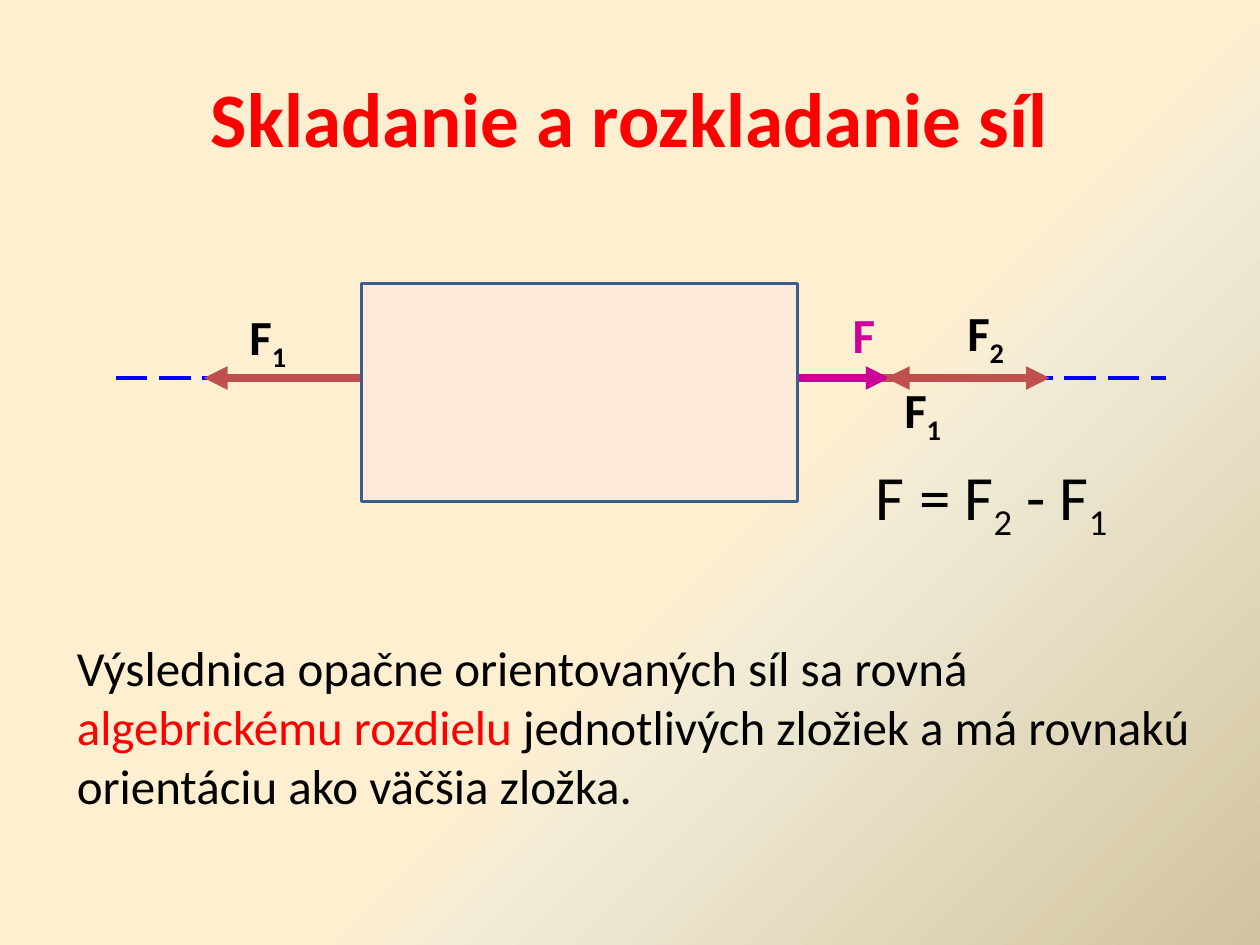
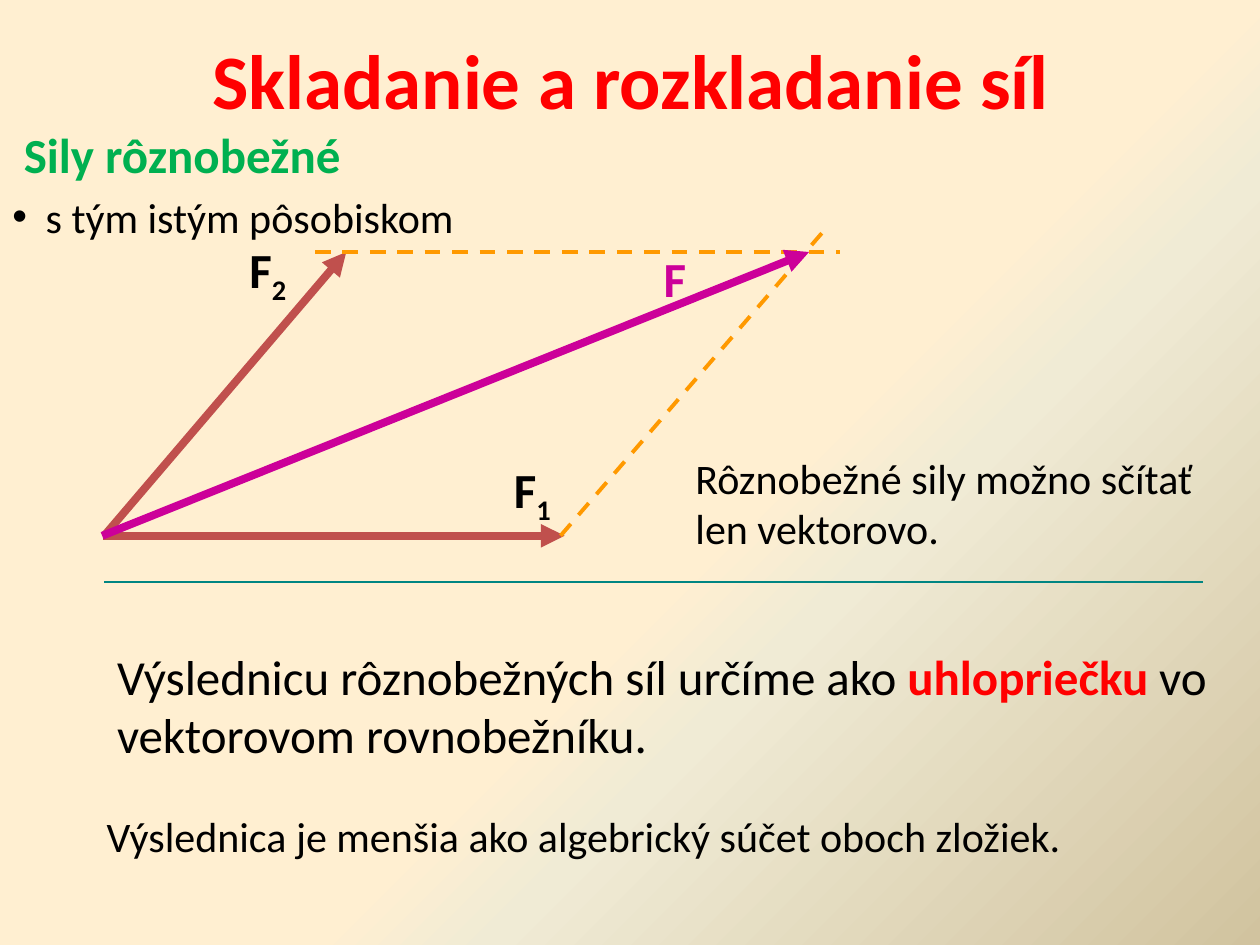
from dataclasses import dataclass

from lxml.etree import SubElement
from pptx import Presentation
from pptx.dml.color import RGBColor
from pptx.enum.dml import MSO_LINE_DASH_STYLE as Dash
from pptx.enum.shapes import MSO_CONNECTOR as Connector, MSO_SHAPE as Preset
from pptx.enum.text import MSO_ANCHOR as Anchor, MSO_AUTO_SIZE as AutoSize, PP_ALIGN as Align
from pptx.oxml.ns import qn
from pptx.slide import Slide, SlideMaster
from pptx.util import Cm, Pt


@dataclass(frozen=True)
class Theme:
    font: str = "Calibri"
    black: str = "000000"
    red: str = "FF0000"
    green: str = "00B050"
    component: str = "C0504D"
    resultant: str = "CC0099"
    axis: str = "0000FF"
    parallel: str = "FF9900"
    body_fill: str = "FDEADA"
    body_line: str = "3A5F8C"
    divider: str = "008582"
    background: tuple = ((57, "FFEFD1"), (65, "F0EBD5"), (100, "D1C39F"))
    title_size: int = 44
    formula_size: int = 36
    large_size: int = 28
    small_size: int = 24
    arrow_width: float = 4.5
    dash_width: float = 2.25


THEME = Theme()


@dataclass(frozen=True)
class Run:
    text: str
    color: str = THEME.black
    bold: bool = False
    subscript: bool = False


# Positions and sizes below are in centimetres
@dataclass(frozen=True)
class TextBox:
    left: float
    top: float
    width: float
    height: float
    runs: tuple[Run, ...]
    size: int = THEME.large_size
    align: Align = Align.LEFT
    anchor: Anchor = Anchor.TOP
    bullet: bool = False


@dataclass(frozen=True)
class Line:
    start: tuple[float, float]
    end: tuple[float, float]
    color: str = THEME.component
    dash: Dash | None = None  # a line without dashes is a force arrow


def rgb(color: str) -> RGBColor:
    return RGBColor.from_string(color)


def paint_background(master: SlideMaster) -> None:
    fill = master.background.fill
    fill.gradient()
    fill.gradient_angle = 315
    stops = master.element.find(".//" + qn("a:gsLst"))
    for stop in list(stops):
        stops.remove(stop)
    for position, color in THEME.background:
        stop = SubElement(stops, qn("a:gs"), pos=str(position * 1000))
        SubElement(stop, qn("a:srgbClr"), val=color)


def write_runs(paragraph, runs: tuple[Run, ...], size: int) -> None:
    for item in runs:
        run = paragraph.add_run()
        run.text = item.text
        run.font.name = THEME.font
        run.font.size = Pt(size)
        run.font.bold = item.bold
        run.font.color.rgb = rgb(item.color)
        if item.subscript:
            run._r.get_or_add_rPr().set("baseline", "-25000")


def draw_text(slide: Slide, box: TextBox) -> None:
    shape = slide.shapes.add_textbox(Cm(box.left), Cm(box.top), Cm(box.width), Cm(box.height))
    frame = shape.text_frame
    frame.word_wrap = True
    frame.vertical_anchor = box.anchor
    if box.anchor == Anchor.TOP:
        frame.auto_size = AutoSize.SHAPE_TO_FIT_TEXT
    paragraph = frame.paragraphs[0]
    paragraph.alignment = box.align
    if box.bullet:
        properties = paragraph._p.get_or_add_pPr()
        properties.set("marL", str(Cm(0.67)))
        properties.set("indent", str(Cm(-0.67)))
        SubElement(properties, qn("a:buFont"), typeface="Arial")
        SubElement(properties, qn("a:buChar"), char="•")
    write_runs(paragraph, box.runs, box.size)


def draw_line(slide: Slide, line: Line) -> None:
    points = [Cm(value) for value in (*line.start, *line.end)]
    connector = slide.shapes.add_connector(Connector.STRAIGHT, *points)
    connector.line.color.rgb = rgb(line.color)
    connector.line.width = Pt(THEME.dash_width if line.dash else THEME.arrow_width)
    if line.dash:
        connector.line.dash_style = line.dash
    else:
        SubElement(connector.element.find(".//" + qn("a:ln")), qn("a:tailEnd"), type="triangle")
    SubElement(connector.element.find(qn("p:spPr")), qn("a:effectLst"))


def title(left: float, top: float) -> TextBox:
    runs = (Run("Skladanie a rozkladanie síl", THEME.red, True),)
    return TextBox(left, top, 22.86, 3.18, runs, THEME.title_size, Align.CENTER, Anchor.MIDDLE)


def force_label(left: float, top: float, index: str = "") -> TextBox:
    """Name a component by its index, or the resultant when there is none."""
    runs = (Run("F", THEME.black if index else THEME.resultant, True),)
    if index:
        runs += (Run(index, bold=True, subscript=True),)
    return TextBox(left, top, 2.74, 1.45, runs)


def draw_opposite_forces(slide: Slide) -> None:
    axis_y = 7.62
    # Force axis, components and resultant
    for start, end, color, dash in (
        (2.34, 23.5, THEME.axis, Dash.LONG_DASH),
        (7.32, 4.11, THEME.component, None),
        (16.03, 21.16, THEME.component, None),
        (16.03, 17.93, THEME.resultant, None),
        (21.03, 17.86, THEME.component, None),
    ):
        draw_line(slide, Line((start, axis_y), (end, axis_y), color, dash))

    # Body that the forces act on
    body = slide.shapes.add_shape(Preset.RECTANGLE, Cm(7.29), Cm(5.72), Cm(8.79), Cm(4.39))
    body.shadow.inherit = False
    body.fill.solid()
    body.fill.fore_color.rgb = rgb(THEME.body_fill)
    body.line.color.rgb = rgb(THEME.body_line)
    body.line.width = Pt(2)

    # Title, labels, formula and rule
    formula = (Run("F = F"), Run("2", subscript=True), Run(" - F"), Run("1", subscript=True))
    rule = (
        Run("Výslednica opačne orientovaných síl sa rovná "),
        Run("algebrickému rozdielu ", THEME.red),
        Run("jednotlivých zložiek a má rovnakú orientáciu ako väčšia zložka."),
    )
    for box in (
        title(1.27, 0.76),
        force_label(4.78, 6.05, "1"),
        force_label(19.25, 5.97, "2"),
        force_label(16.94, 6.02),
        force_label(17.98, 7.52, "1"),
        TextBox(16.08, 9.09, 7.82, 1.78, formula, THEME.formula_size, Align.CENTER),
        TextBox(1.3, 12.73, 23.06, 3.81, rule),
    ):
        draw_text(slide, box)


def draw_concurrent_forces(slide: Slide) -> None:
    # Force parallelogram
    top, base = 5.08, 10.8
    for line in (
        Line((2.1, base), (6.98, top)),
        Line((2.08, base), (11.38, base)),
        Line((6.35, top), (16.94, top), THEME.parallel, Dash.DASH),
        Line((11.3, base), (16.61, 4.65), THEME.parallel, Dash.DASH),
        Line((2.06, base), (16.31, top), THEME.resultant),
    ):
        draw_line(slide, line)

    # Remark with the dividing line below it
    remark = slide.shapes.add_shape(
        Preset.LINE_CALLOUT_1_NO_BORDER, Cm(13.77), Cm(8.99), Cm(10.8), Cm(2.54))
    for index, value in enumerate((1.08, 0.97, 1.08, -1.08)):
        remark.adjustments[index] = value
    remark.shadow.inherit = False
    remark.fill.background()
    remark.line.color.rgb = rgb(THEME.divider)
    remark.line.width = Pt(0.75)
    frame = remark.text_frame
    frame.word_wrap = True
    frame.vertical_anchor = Anchor.TOP
    frame.paragraphs[0].alignment = Align.LEFT
    write_runs(frame.paragraphs[0], (Run("Rôznobežné sily možno sčítať len vektorovo."),),
               THEME.small_size)

    # Headings, labels and rules
    subtitle = (Run("Sily rôznobežné", THEME.green, True),)
    case = (Run("s tým istým pôsobiskom"),)
    rule = (
        Run("Výslednicu rôznobežných síl určíme ako "),
        Run("uhlopriečku", THEME.red, True),
        Run(" vo vektorovom rovnobežníku."),
    )
    size_rule = (Run("Výslednica je menšia ako algebrický súčet oboch zložiek."),)
    for box in (
        TextBox(0.23, 1.52, 22.86, 3.18, subtitle, anchor=Anchor.MIDDLE),
        TextBox(0, 3.73, 16.51, 1.3, case, THEME.small_size, bullet=True),
        force_label(10.11, 9.14, "1"),
        force_label(4.78, 4.7, "2"),
        force_label(13.13, 4.88),
        TextBox(2.11, 12.9, 23.06, 2.62, rule),
        TextBox(1.9, 16.21, 22.86, 1.27, size_rule, THEME.small_size),
        title(1.3, 0),
    ):
        draw_text(slide, box)


def main() -> None:
    presentation = Presentation()
    presentation.slide_width, presentation.slide_height = Cm(25.4), Cm(19.05)
    paint_background(presentation.slide_master)
    blank = presentation.slide_layouts[6]
    for draw_content in (draw_opposite_forces, draw_concurrent_forces):
        draw_content(presentation.slides.add_slide(blank))
    presentation.save("out.pptx")


if __name__ == "__main__":
    main()
